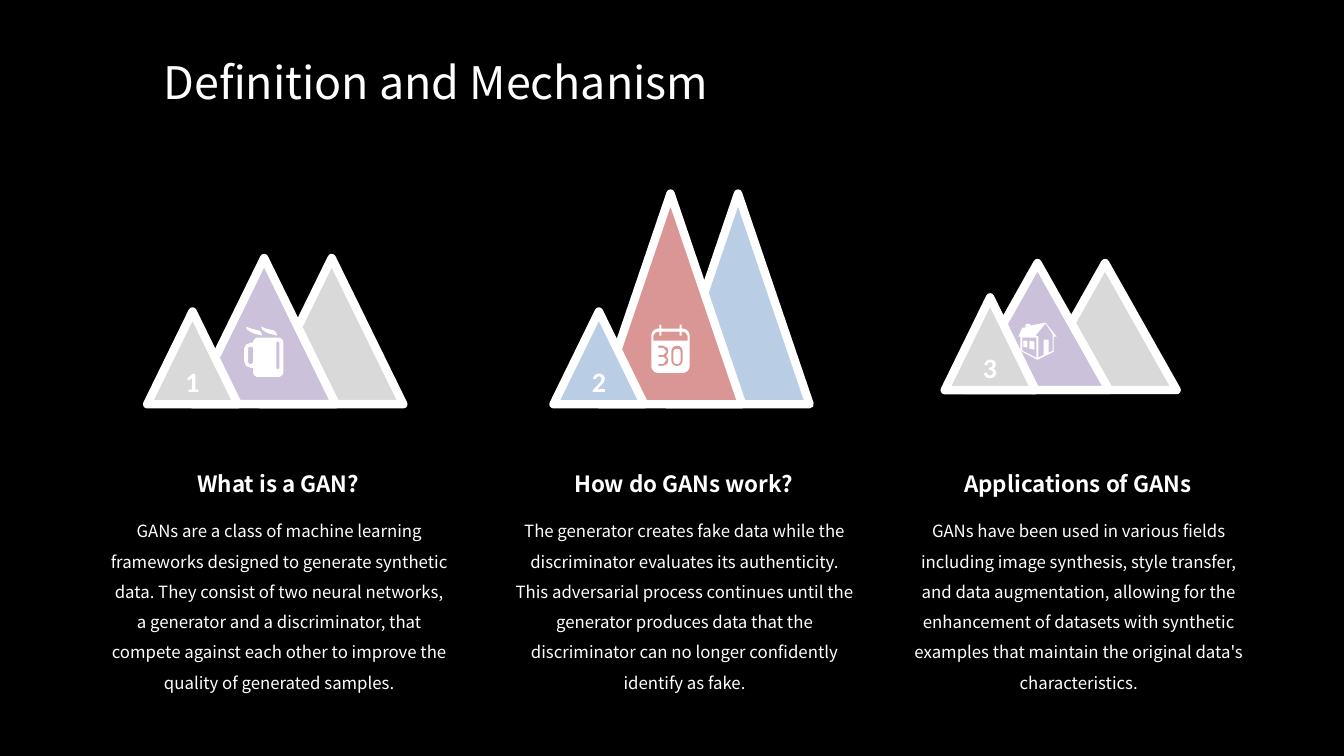
import pptx
import pptx.util
import pptx.dml.color
import pptx.enum.shapes
import pptx.enum.text
import math

Inches = pptx.util.Inches
Pt = pptx.util.Pt
Align = pptx.enum.text.PP_ALIGN
Anchor = pptx.enum.text.MSO_ANCHOR
Fit = pptx.enum.text.MSO_AUTO_SIZE

HUES = {"black": "000000", "white": "FFFFFF", "gray": "D9D9D9",
        "blue": "B9CDE5", "red": "D99694", "mauve": "CCC1DA"}
SANS = "Noto Sans CJK SC"
STYLES = {
    "title": {"name": SANS, "size": Pt(32), "bold": False},
    "head": {"name": SANS, "size": Pt(16), "bold": True},
    "body": {"name": SANS, "size": Pt(12), "bold": False},
    "num": {"name": "Calibri", "size": Pt(20), "bold": True},
}


def rgb(hue):
    """Return the colour called hue."""
    return pptx.dml.color.RGBColor.from_string(HUES[hue])


def write(shape, text, style, align, anchor, fit=Fit.SHAPE_TO_FIT_TEXT, space=1.0):
    """Put one formatted paragraph into a shape."""
    frame = shape.text_frame
    for key, value in {"word_wrap": True, "auto_size": fit, "vertical_anchor": anchor}.items():
        setattr(frame, key, value)
    para = frame.paragraphs[0]
    para.text = text
    for key, value in {"alignment": align, "line_spacing": space}.items():
        setattr(para, key, value)
    for key, value in STYLES[style].items():
        setattr(para.runs[0].font, key, value)
    para.runs[0].font.color.rgb = rgb("white")


def place(shape, *box):
    """Move and size a shape by inches."""
    for key, value in zip(("left", "top", "width", "height"), box):
        setattr(shape, key, Inches(value))


def label(slide, box, text, style, anchor, space=1.0):
    """Add a centred text box."""
    shape = slide.shapes.add_textbox(*map(Inches, box))
    write(shape, text, style, Align.CENTER, anchor, space=space)


def peak(slide, left, base, width, height, hue):
    """Add a white-edged triangle standing on base."""
    kind = pptx.enum.shapes.MSO_SHAPE.ISOSCELES_TRIANGLE
    shape = slide.shapes.add_shape(kind, *map(Inches, (left, base - height, width, height)))
    shape.shadow.inherit = False
    shape.fill.solid()
    shape.fill.fore_color.rgb = rgb(hue)
    shape.line.color.rgb = rgb("white")
    shape.line.width = Pt(6)
    return shape


def range_of(slide, num, left, base, height, shift, main, side):
    """Add three peaks, the front one numbered."""
    peak(slide, left + 0.67, base, 1.42, height, side)
    peak(slide, left, base, 1.42, height, main)
    front = peak(slide, left - shift, base, 0.9, 0.92, side)
    write(front, num, "num", Align.CENTER, Anchor.MIDDLE, Fit.NONE)


def pill(left, top, width, height, radius=0.0):
    """Return the points of a rounded box."""
    if not radius:
        return [(left, top), (left + width, top), (left + width, top + height), (left, top + height)]
    points = []
    for turn in range(4):
        midx = left + (width - radius if turn in (0, 3) else radius)
        midy = top + (height - radius if turn in (0, 1) else radius)
        for step in range(7):
            angle = math.radians(90 * turn + 15 * step)
            points.append((midx + radius * math.cos(angle), midy + radius * math.sin(angle)))
    return points


def icon(slide, loops):
    """Add a white outline whose inner loops are holes."""
    scaled = [[(Inches(x), Inches(y)) for x, y in loop] for loop in loops]
    pen = slide.shapes.build_freeform(*scaled[0][0])
    pen.add_line_segments(scaled[0][1:], close=True)
    for loop in scaled[1:]:
        pen.move_to(*loop[0])
        pen.add_line_segments(loop[1:], close=True)
    shape = pen.convert_to_shape()
    shape.shadow.inherit = False
    shape.fill.solid()
    shape.fill.fore_color.rgb = rgb("white")
    shape.line.fill.background()


def mug():
    """Return the loops of a steaming mug."""
    grip = [(2.51, 3.4), (2.49, 3.4), (2.44, 3.42), (2.42, 3.46),
            (2.42, 3.58), (2.44, 3.63), (2.49, 3.65), (2.51, 3.65)]
    steam = [(2.44, 3.24), (2.49, 3.26), (2.53, 3.27), (2.57, 3.28), (2.59, 3.3), (2.6, 3.33),
             (2.56, 3.32), (2.52, 3.31), (2.48, 3.29), (2.45, 3.27)]
    drift = [(x + 0.15, y) for x, y in steam]
    return [pill(2.51, 3.35, 0.3, 0.39, 0.05), grip, pill(2.46, 3.44, 0.05, 0.17, 0.02),
            pill(2.74, 3.39, 0.03, 0.27, 0.01), steam, drift]


def dates():
    """Return the loops of a calendar page."""
    three = [(6.53, 3.43), (6.58, 3.43), (6.62, 3.45), (6.63, 3.49), (6.61, 3.53),
             (6.63, 3.57), (6.62, 3.61), (6.58, 3.63), (6.53, 3.63), (6.53, 3.61),
             (6.58, 3.61), (6.61, 3.57), (6.58, 3.54), (6.53, 3.54), (6.53, 3.52),
             (6.58, 3.52), (6.61, 3.49), (6.58, 3.45), (6.53, 3.45)]
    bar = [(6.48, 3.38), (6.48, 3.33), (6.5, 3.3), (6.53, 3.29),
           (6.77, 3.29), (6.8, 3.3), (6.82, 3.33), (6.82, 3.38)]
    pins = [pill(x, y, 0.02, 0.04) for x in (6.54, 6.74) for y in (3.22, 3.29)]
    return [pill(6.46, 3.26, 0.38, 0.44, 0.07), bar, three,
            pill(6.66, 3.43, 0.11, 0.2, 0.05), pill(6.68, 3.46, 0.07, 0.15, 0.03), *pins]


def house():
    """Return the loops of a small house."""
    shell = [(10.37, 3.2), (10.48, 3.34), (10.45, 3.34), (10.45, 3.49), (10.29, 3.57),
             (10.12, 3.48), (10.12, 3.34), (10.1, 3.34), (10.14, 3.25), (10.17, 3.25),
             (10.17, 3.22), (10.2, 3.21), (10.22, 3.22), (10.22, 3.23)]
    front = [(10.14, 3.35), (10.14, 3.48), (10.28, 3.55), (10.28, 3.35)]
    side = [(10.37, 3.21), (10.27, 3.33), (10.3, 3.34), (10.3, 3.55), (10.35, 3.52),
            (10.35, 3.37), (10.4, 3.37), (10.4, 3.5), (10.44, 3.48), (10.44, 3.32), (10.45, 3.33)]
    panes = [[(10.15, 3.38), (10.19, 3.38), (10.19, 3.45), (10.15, 3.44)],
             [(10.21, 3.38), (10.26, 3.39), (10.26, 3.47), (10.21, 3.46)]]
    return [shell, front, side, *panes]


TOPICS = [
    (0.97, "What is a GAN?", "GANs are a class of machine learning frameworks designed to generate "
     "synthetic data. They consist of two neural networks, a generator and a discriminator, that "
     "compete against each other to improve the quality of generated samples.",
     ("1", 1.91, 4.01, 1.45, 0.45, "mauve", "gray"), mug),
    (4.99, "How do GANs work?", "The generator creates fake data while the discriminator evaluates "
     "its authenticity. This adversarial process continues until the generator produces data that "
     "the discriminator can no longer confidently identify as fake.",
     ("2", 5.94, 4.01, 2.09, 0.45, "red", "blue"), dates),
    (8.9, "Applications of GANs", "GANs have been used in various fields including image synthesis, "
     "style transfer, and data augmentation, allowing for the enhancement of datasets with "
     "synthetic examples that maintain the original data's characteristics.",
     ("3", 9.58, 3.87, 1.26, 0.21, "mauve", "gray"), house),
]


def main():
    """Build the slide and save it."""
    deck = pptx.Presentation()
    deck.slide_width, deck.slide_height = Inches(13.33), Inches(7.5)
    slide = deck.slides.add_slide(deck.slide_layouts[5])
    slide.background.fill.solid()
    slide.background.fill.fore_color.rgb = rgb("black")
    title = slide.shapes.title
    place(title, 1.52, 0.49, 7.79, 0.64)
    write(title, "Definition and Mechanism", "title", Align.LEFT, Anchor.TOP)
    for left, head, body, peaks, draw in TOPICS:
        range_of(slide, *peaks)
        icon(slide, draw())
        label(slide, (left, 4.61, 3.58, 0.37), head, "head", Anchor.BOTTOM)
        label(slide, (left + 0.01, 5.02, 3.58, 1.58), body, "body", Anchor.TOP, 1.5)
    deck.save("out.pptx")


if __name__ == "__main__":
    main()
